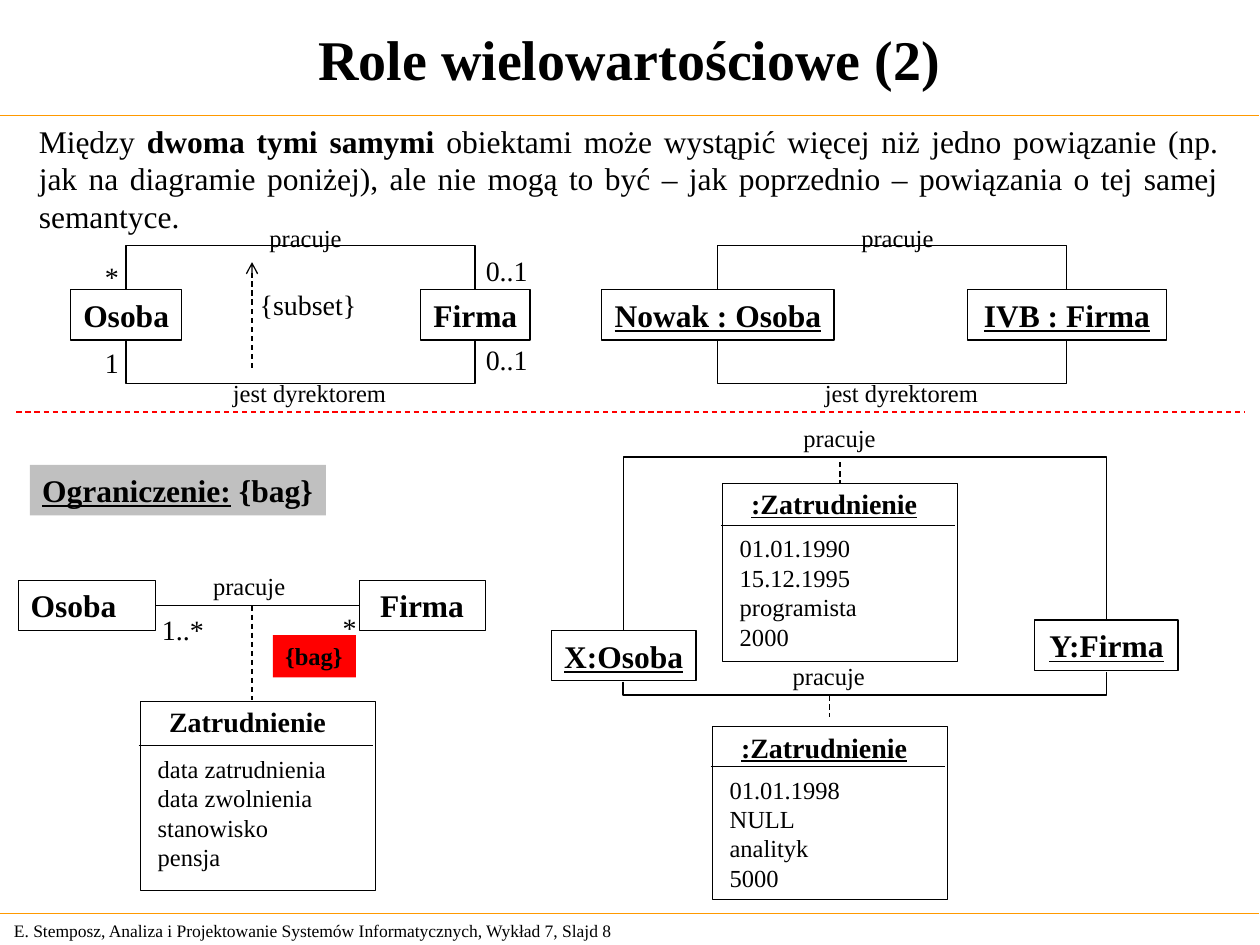
from dataclasses import dataclass
from pptx import Presentation
from pptx.dml.color import RGBColor
from pptx.enum.dml import MSO_LINE
from pptx.enum.shapes import MSO_CONNECTOR, MSO_SHAPE
from pptx.enum.text import MSO_ANCHOR, MSO_AUTO_SIZE, PP_ALIGN
from pptx.oxml.ns import qn
from pptx.util import Pt
from lxml.etree import SubElement


@dataclass(frozen=True)
class Theme:
    face: str = "Times New Roman"
    ink: str = "000000"
    paper: str = "FFFFFF"
    rule: str = "FF9900"
    red: str = "FF0000"
    grey: str = "C0C0C0"
    title: int = 32
    body: int = 18
    role: int = 16
    label: int = 14
    foot: int = 10
    thin: float = 0.11
    line: float = 0.75


T = Theme()
BOLD = {"bold": True}
NAME = {"bold": True, "underline": True}
MID = {"vertical_anchor": MSO_ANCHOR.MIDDLE}
LEFT, CENTER, FULL = PP_ALIGN.LEFT, PP_ALIGN.CENTER, PP_ALIGN.JUSTIFY


def apply(item, vals):
    for key, val in vals.items():
        setattr(item, key, val)


def write(frame, lines, size, align=LEFT, look={}, inset=True, **opts):
    side, edge = (Pt(7.2), Pt(3.6)) if inset else (0, 0)
    base = {"word_wrap": False, "auto_size": MSO_AUTO_SIZE.SHAPE_TO_FIT_TEXT,
            "vertical_anchor": MSO_ANCHOR.TOP, "margin_left": side,
            "margin_right": side, "margin_top": edge, "margin_bottom": edge}
    apply(frame, {**base, **opts})
    for num, line in enumerate(lines):
        para = frame.add_paragraph() if num else frame.paragraphs[0]
        para.alignment = align
        runs = [(line, look)] if isinstance(line, str) else line
        for text, form in runs:
            run = para.add_run()
            run.text = text
            apply(run.font, {"name": T.face, "size": Pt(size), **form})
            run.font.color.rgb = RGBColor.from_string(T.ink)


def label(slide, text, size, x, y, w, h, **opts):
    lines = text if isinstance(text, list) else [text]
    box = slide.shapes.add_textbox(Pt(x), Pt(y), Pt(w), Pt(h))
    write(box.text_frame, lines, size, **opts)


def rect(slide, x, y, w, h, fill=None, width=None):
    box = slide.shapes.add_shape(MSO_SHAPE.RECTANGLE, Pt(x), Pt(y), Pt(w), Pt(h))
    box.shadow.inherit = False
    if fill:
        box.fill.solid()
        box.fill.fore_color.rgb = RGBColor.from_string(fill)
    else:
        box.fill.background()
    if width:
        box.line.color.rgb = RGBColor.from_string(T.ink)
        box.line.width = Pt(width)
    else:
        box.line.fill.background()
    return box


def node(slide, text, x, y, w, look=BOLD, **opts):
    box = rect(slide, x, y, w, 28.8, width=T.line)
    write(box.text_frame, [text], T.body, CENTER, look, **MID, **opts)


def style(link, color, width, dash=False):
    link.line.color.rgb = RGBColor.from_string(color)
    link.line.width = Pt(width)
    if dash:
        link.line.dash_style = MSO_LINE.DASH
    SubElement(link._element.spPr, qn("a:effectLst"))


def line(slide, x1, y1, x2, y2, color=T.ink, width=T.line, dash=False, arrow=False):
    link = slide.shapes.add_connector(
        MSO_CONNECTOR.STRAIGHT, Pt(x1), Pt(y1), Pt(x2), Pt(y2))
    style(link, color, width, dash)
    if arrow:
        SubElement(link.line._get_or_add_ln(), qn("a:tailEnd"), type="arrow")


def loop(slide, x1, y1, x2, y2, level):
    wide, tall = abs(y2 - y1), x2 - x1
    left, top = (x1 + x2 - wide) / 2, (y1 + y2 - tall) / 2
    link = slide.shapes.add_connector(
        MSO_CONNECTOR.ELBOW, Pt(left), Pt(top), Pt(left + wide), Pt(top + tall))
    turn = {"rot": "16200000", "flipH": "1"}
    if y2 < y1:
        turn = {"rot": "5400000", "flipH": "1", "flipV": "1"}
    for key, val in turn.items():
        link._element.spPr.find(qn("a:xfrm")).set(key, val)
    bend = round((level - y1) / (y2 - y1) * 100000)
    guides = link._element.spPr.find(qn("a:prstGeom")).find(qn("a:avLst"))
    SubElement(guides, qn("a:gd"), name="adj1", fmla=f"val {bend}")
    style(link, T.ink, T.line)


def pair(slide, dx, left, right, look):
    for text, x, w in (left, right):
        node(slide, text, x, 165.6, w, look)
    loop(slide, 72 + dx, 164.9, 271.4 + dx, 165.6, 140.6)
    loop(slide, 72 + dx, 194.4, 271.4 + dx, 195.1, 218.9)
    label(slide, "pracuje", T.label, 146.9 + dx, 123.8, 58, 24.5)
    label(slide, "jest dyrektorem", T.label, 126 + dx, 212.4, 104, 24.5)


def card(slide, name, rows, x, y, h, split, look):
    rect(slide, x, y, 134.6, h, T.paper, T.thin)
    line(slide, x - 0.7, y + split, x + 133.2, y + split, width=T.thin)
    label(slide, name, T.role, x + 16.7, y + 2, 97, 19.4, look=look, inset=False)
    label(slide, rows, T.label, x + 10.1, y + split + 5, 98, 67, inset=False)


def frame(slide):
    title = slide.shapes.title
    apply(title, {"left": 0, "top": 0, "width": Pt(719.6), "height": Pt(66)})
    write(title.text_frame, ["Role wielowartościowe (2)"], T.title, CENTER, BOLD,
          word_wrap=True, auto_size=MSO_AUTO_SIZE.NONE, **MID)
    for y in (66, 522):
        line(slide, -0.7, y, 719.3, y, T.rule)
    label(slide, "E. Stemposz, Analiza i Projektowanie Systemów Informatycznych, "
          "Wykład 7, Slajd 8", T.foot, 0.9, 522, 377.3, 19.4, word_wrap=True, **MID)
    intro = [("Między ", {}), ("dwoma tymi samymi", BOLD),
             (" obiektami może wystąpić więcej niż jedno powiązanie (np. jak na "
              "diagramie poniżej), ale nie mogą to być – jak poprzednio – "
              "powiązania o tej samej semantyce.", {})]
    label(slide, [intro], T.body, 15.1, 66, 688.6, 72, align=FULL, word_wrap=True)


def roles(slide):
    pair(slide, 0, ("Osoba", 40.3, 63.6), ("Firma", 240.3, 62.7), BOLD)
    pair(slide, 338.2, ("Nowak : Osoba", 343.9, 132.7),
         ("IVB : Firma", 553, 113.4), NAME)
    for text, x, y, w in (("0..1", 270.5, 192.4, 40), ("0..1", 270.5, 141.1, 40),
                          ("1", 52.8, 193.7, 24), ("*", 52.8, 144.7, 24),
                          ("{subset}", 141.3, 160.6, 72)):
        label(slide, text, T.role, x, y, w, 26.6)
    line(slide, 144, 210.2, 144, 149.8, dash=True, arrow=True)
    line(slide, 9.4, 235.4, 711.4, 235.4, T.red, dash=True)


def bag(slide):
    head = rect(slide, 17, 265.7, 169.2, 28.8, T.grey)
    write(head.text_frame, [[("Ograniczenie:", NAME), (" {bag}", BOLD)]], T.body)
    card(slide, "Zatrudnienie",
         ["data zatrudnienia", "data zwolnienia", "stanowisko", "pensja"],
         80, 400.6, 108, 25.2, BOLD)
    for text, x, w, align in (("Osoba", 10.4, 78.2, LEFT), ("Firma", 205.2, 72, CENTER)):
        box = rect(slide, x, 331.6, w, 28.8, T.paper, 0.14)
        write(box.text_frame, [text], T.body, align, BOLD, word_wrap=True)
    label(slide, "1..*", T.role, 92.5, 349.9, 26, 19.4, inset=False)
    label(slide, "*", T.role, 195.8, 348.8, 9, 19.4, inset=False)
    mark = rect(slide, 155.9, 362.9, 47.5, 24.2, T.red)
    write(mark.text_frame, ["{bag}"], T.label, look=BOLD)
    line(slide, 88.6, 346.1, 205.9, 346.1)
    line(slide, 144, 346.1, 144, 400.3, dash=True)
    label(slide, "pracuje", T.label, 114.7, 322.6, 58, 24.5)


def links(slide):
    node(slide, "X:Osoba", 315, 360.3, 82.8, NAME)
    node(slide, "Y:Firma", 591.3, 354.4, 81.9, NAME)
    card(slide, ":Zatrudnienie", ["01.01.1990", "15.12.1995", "programista", "2000"],
         412.6, 276, 101.8, 23.8, NAME)
    card(slide, ":Zatrudnienie", ["01.01.1998", "NULL", "analityk", "5000"],
         406.8, 415.2, 98.6, 22.5, NAME)
    loop(slide, 356.4, 360, 632.2, 354.2, 261.4)
    loop(slide, 355.9, 389.5, 632.2, 383.8, 397.2)
    line(slide, 480, 264.2, 480, 275.8, dash=True)
    line(slide, 474, 397.4, 474, 409.7, dash=True)
    for x, y in ((452, 238.3), (445.9, 374)):
        label(slide, "pracuje", T.label, x, y, 58, 24.5)


def main():
    deck = Presentation()
    apply(deck, {"slide_width": Pt(720), "slide_height": Pt(540)})
    slide = deck.slides.add_slide(deck.slide_layouts[5])
    for part in (frame, roles, bag, links):
        part(slide)
    deck.save("out.pptx")


if __name__ == "__main__":
    main()
